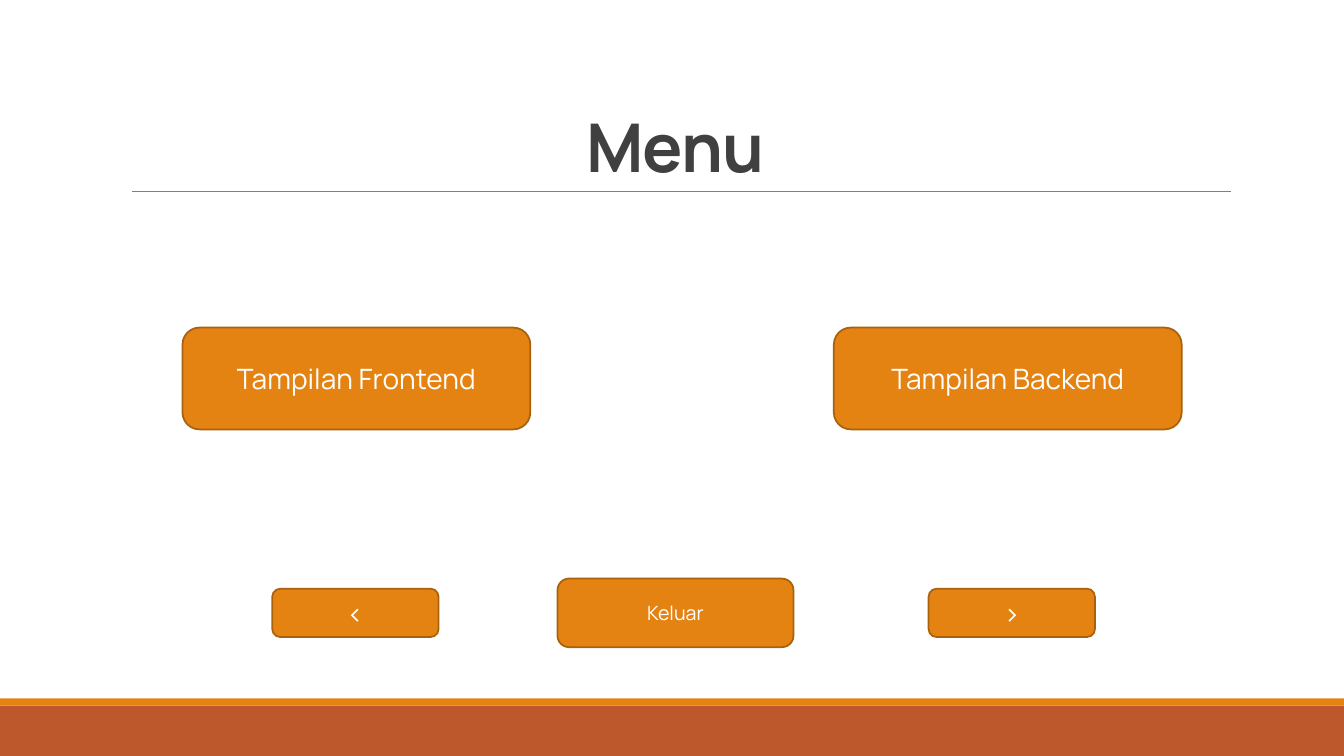
from lxml.etree import SubElement
from pptx import Presentation
from pptx.dml.color import RGBColor as RGB
from pptx.enum.shapes import MSO_CONNECTOR as CONNECTOR, MSO_SHAPE as SHAPE
from pptx.enum.text import MSO_ANCHOR as ANCHOR, PP_ALIGN as ALIGN
from pptx.oxml.ns import qn
from pptx.util import Inches, Pt

COLORS = {
    "rust": "BD582C",
    "orange": "E48312",
    "edge": "A9610D",
    "rule": "808080",
    "title": "404040",
    "white": "FFFFFF",
}


class MenuSlide:
    font_name = "Manrope"

    def __init__(self, slide):
        self.slide = slide

    def color(self, name):
        return RGB.from_string(COLORS[name])

    def label(self, frame, text, anchor, color, **formats):
        frame.word_wrap = True
        frame.vertical_anchor = anchor
        paragraph = frame.paragraphs[0]
        paragraph.alignment = ALIGN.CENTER
        run = paragraph.add_run()
        run.text = text
        for key, value in {"name": self.font_name, **formats}.items():
            setattr(run.font, key, value)
        run.font.color.rgb = self.color(color)
        return paragraph, run

    def block(self, kind, box, fill):
        block = self.slide.shapes.add_shape(kind, *map(Inches, box))
        block.shadow.inherit = False
        block.fill.solid()
        block.fill.fore_color.rgb = self.color(fill)
        return block

    def band(self, top, height, fill):
        band = self.block(SHAPE.RECTANGLE, (0, top, 13.33, height), fill)
        band.line.fill.background()

    def rule(self, left, right, y):
        rule = self.slide.shapes.add_connector(
            CONNECTOR.STRAIGHT, Inches(left), Inches(y), Inches(right), Inches(y))
        rule.line.color.rgb = self.color("rule")
        rule.line.width = Pt(0.5)
        SubElement(rule._element.spPr, qn("a:effectLst"))

    def title(self, text, box):
        title = self.slide.shapes.add_textbox(*map(Inches, box))
        paragraph, run = self.label(title.text_frame, text, ANCHOR.BOTTOM, "title",
                                    size=Pt(48), bold=True)
        paragraph.line_spacing = 0.85
        run.font._element.set("spc", "-50")  # slightly tightened letters

    def button(self, text, box, size):
        button = self.block(SHAPE.ROUNDED_RECTANGLE, box, "orange")
        button.line.color.rgb = self.color("edge")
        button.line.width = Pt(1.25)
        self.label(button.text_frame, text, ANCHOR.MIDDLE, "white", size=Pt(size))


def main():
    deck = Presentation()
    deck.slide_width, deck.slide_height = Inches(13.33), Inches(7.5)
    menu = MenuSlide(deck.slides.add_slide(deck.slide_layouts[6]))

    # Footer bands
    menu.band(7, 0.5, "rust")
    menu.band(6.93, 0.07, "orange")

    # Heading
    menu.rule(1.31, 12.21, 1.9)
    menu.title("Menu", (1.2, 0.31, 11, 1.59))

    # Main choices
    for choice, left in (("Tampilan Frontend", 1.81), ("Tampilan Backend", 8.27)):
        menu.button(choice, (left, 3.25, 3.45, 1.01), 20)

    # Navigation
    menu.button("Keluar", (5.53, 5.74, 2.34, 0.68), 14)
    for arrow, left in ((">", 9.21), ("<", 2.7)):
        menu.button(arrow, (left, 5.84, 1.65, 0.48), 20)

    deck.save("out.pptx")


if __name__ == "__main__":
    main()
